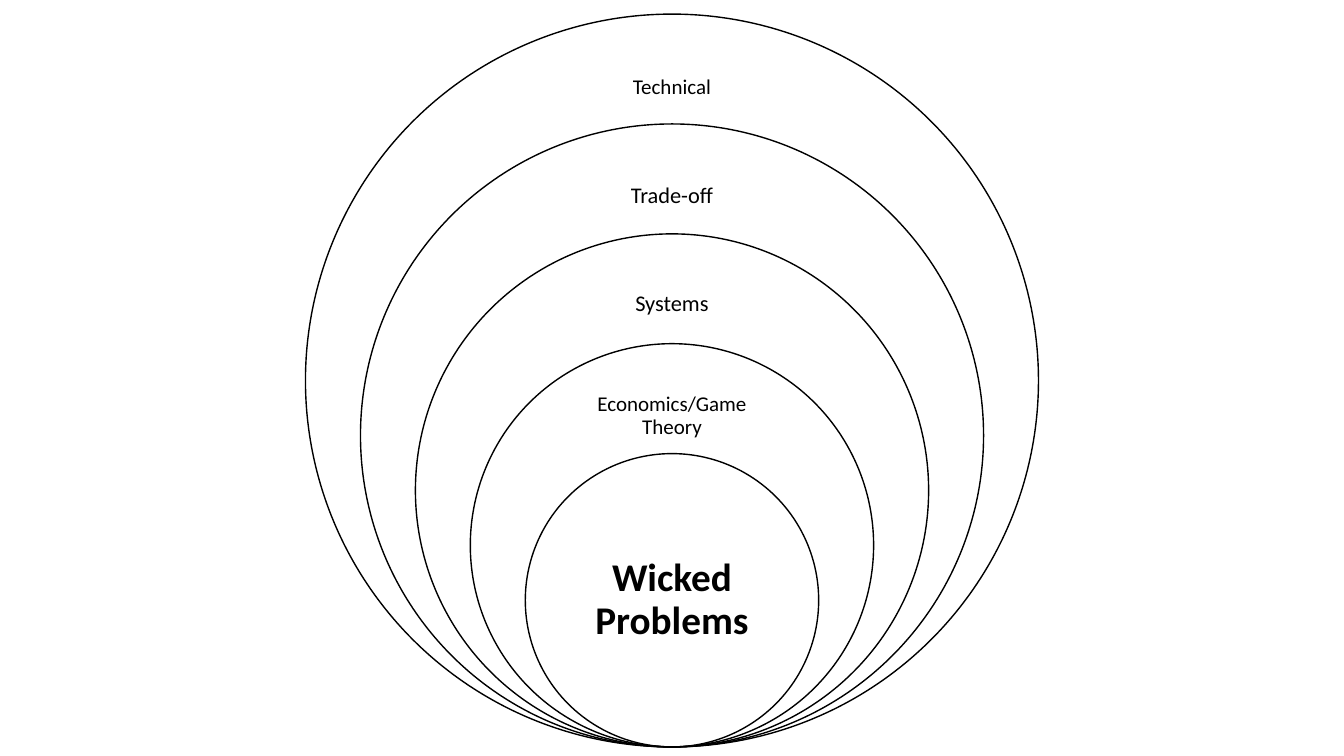
import pptx
import pptx.util
import pptx.dml.color
import pptx.enum.shapes
import pptx.enum.text

Inches = pptx.util.Inches
Pt = pptx.util.Pt
BLACK = pptx.dml.color.RGBColor(0, 0, 0)

deck = pptx.Presentation()
deck.slide_width = Inches(13.33)
deck.slide_height = Inches(7.5)
slide = deck.slides.add_slide(deck.slide_layouts[6])

# Nested circles share a centre line and touch at the base
MID = 6.665
BASE = 7.41
OUTER = 7.27
STEP = 1.09

# Label, top, width, height, inset, font format
LEVELS = [
    ("Technical", 0.51, 2.73, 0.73, 0.12, {"size": Pt(15)}),
    ("Trade-off", 1.59, 2.67, 0.71, 0.12, {"size": Pt(16)}),
    ("Systems", 2.67, 2.63, 0.7, 0.12, {"size": Pt(16)}),
    ("Economics/Game Theory", 3.77, 2.16, 0.72, 0.12, {"size": Pt(15)}),
    ("Wicked Problems", 5.23, 2.06, 1.45, 0.22, {"size": Pt(28), "bold": True}),
]

for level, (label, top, width, height, inset, style) in enumerate(LEVELS):
    # Circle
    size = OUTER - level * STEP
    ring = slide.shapes.add_shape(
        pptx.enum.shapes.MSO_SHAPE.OVAL,
        Inches(MID - size / 2), Inches(BASE - size), Inches(size), Inches(size))
    ring.shadow.inherit = False
    ring.fill.background()
    ring.line.color.rgb = BLACK
    ring.line.width = Pt(1)

    # Label
    box = slide.shapes.add_textbox(
        Inches(MID - width / 2), Inches(top), Inches(width), Inches(height))
    frame = box.text_frame
    frame.word_wrap = True
    frame.vertical_anchor = pptx.enum.text.MSO_ANCHOR.MIDDLE
    for side in ("left", "top", "right", "bottom"):
        setattr(frame, f"margin_{side}", Inches(inset))
    para = frame.paragraphs[0]
    para.alignment = pptx.enum.text.PP_ALIGN.CENTER
    para.line_spacing = 0.9
    run = para.add_run()
    run.text = label
    run.font.color.rgb = BLACK
    for name, value in {"name": "Calibri", **style}.items():
        setattr(run.font, name, value)

deck.save("out.pptx")
